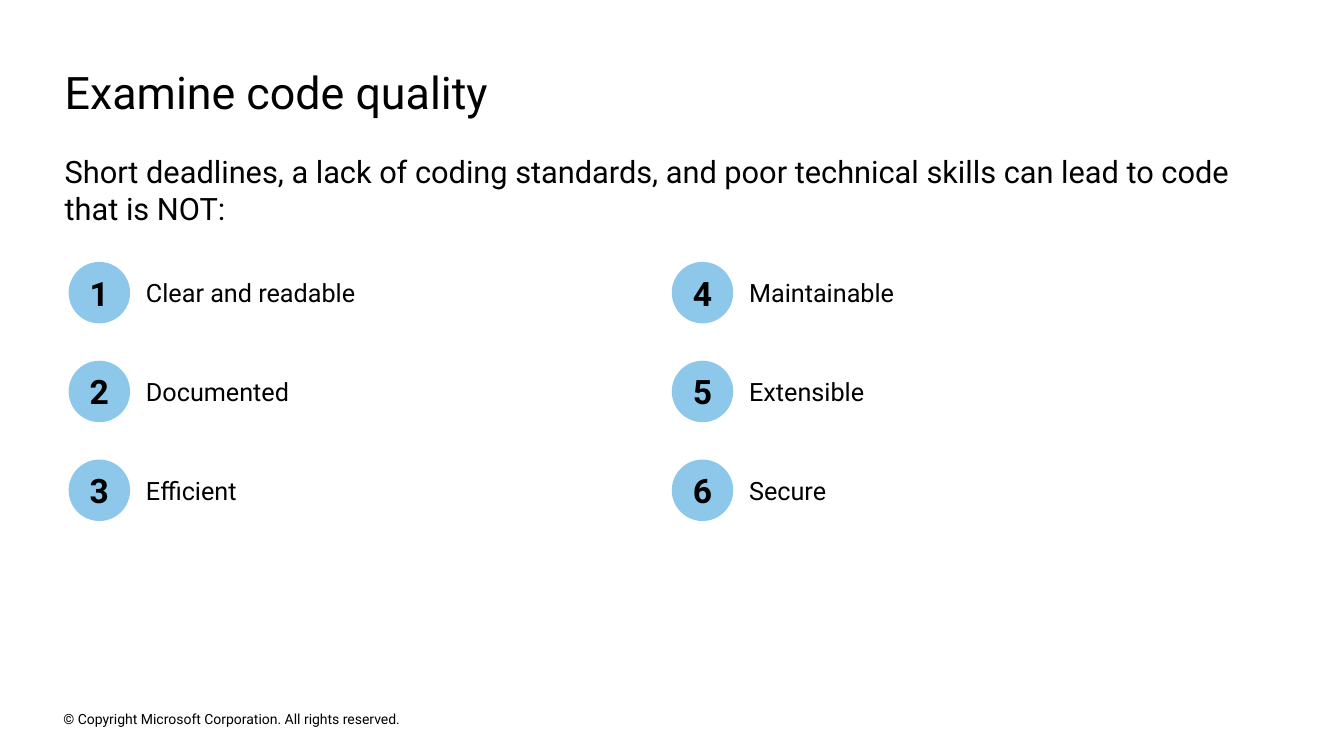
import pptx
import pptx.util
import pptx.dml.color
import pptx.enum.shapes
import pptx.enum.text

Cm = pptx.util.Cm
Pt = pptx.util.Pt
Anchor = pptx.enum.text.MSO_ANCHOR
Align = pptx.enum.text.PP_ALIGN

TITLE = "Examine code quality"
INTRO = ("Short deadlines, a lack of coding standards, and poor technical "
         "skills can lead to code that is NOT:")
TRAITS = ["Clear and readable", "Documented", "Efficient",
          "Maintainable", "Extensible", "Secure"]
RIGHTS = "© Copyright Microsoft Corporation. All rights reserved."

FONT = "Roboto"
BLACK = pptx.dml.color.RGBColor(0x00, 0x00, 0x00)
BLUE = pptx.dml.color.RGBColor(0x8D, 0xC8, 0xEB)

ROWS = 3
LEFT, TOP = 1.73, 6.6
COL, ROW = 15.2, 2.49
BADGE = 1.55
INDENT = 1.95
WIDE, HIGH = 12.27, 0.76


def place(shape, left, top, width, height):
    shape.left, shape.top = Cm(left), Cm(top)
    shape.width, shape.height = Cm(width), Cm(height)


def write(shape, text, size, anchor, align=Align.LEFT, bold=False, after=0):
    frame = shape.text_frame
    frame.text = text
    frame.word_wrap = True
    frame.auto_size = pptx.enum.text.MSO_AUTO_SIZE.NONE
    frame.vertical_anchor = anchor
    frame.margin_left = frame.margin_right = 0
    frame.margin_top = frame.margin_bottom = 0
    line = frame.paragraphs[0]
    line.alignment = align
    line.space_before = Pt(0)
    line.space_after = Pt(after)
    line.font.name = FONT
    line.font.size = Pt(size)
    line.font.bold = bold
    line.font.color.rgb = BLACK
    return line


def label(slide, box, text, size, after=0):
    shape = slide.shapes.add_textbox(*map(Cm, box))
    write(shape, text, size, Anchor.MIDDLE, after=after)


def badge(slide, left, top, number):
    shape = slide.shapes.add_shape(
        pptx.enum.shapes.MSO_SHAPE.OVAL,
        Cm(left), Cm(top), Cm(BADGE), Cm(BADGE))
    shape.shadow.inherit = False
    shape.fill.solid()
    shape.fill.fore_color.rgb = BLUE
    shape.line.fill.background()
    write(shape, str(number), 24, Anchor.MIDDLE, Align.CENTER, True)


def main():
    deck = pptx.Presentation()
    deck.slide_width, deck.slide_height = Cm(33.87), Cm(19.05)
    slide = deck.slides.add_slide(deck.slide_layouts[1])

    title, body = slide.placeholders
    place(title, 1.63, 1.63, 30.58, 1.37)
    write(title, TITLE, 32, Anchor.TOP)
    place(body, 1.63, 3.86, 30.58, 1.88)
    intro = write(body, INTRO, 22, Anchor.TOP)
    props = intro._p.get_or_add_pPr()
    props.set("marL", "0")
    props.set("indent", "0")
    bullet = pptx.oxml.parse_xml(
        '<a:buNone xmlns:a="http://schemas.openxmlformats.org/drawingml/2006/main"/>')
    props.insert_element_before(bullet, "a:tabLst", "a:defRPr", "a:extLst")

    for i, trait in enumerate(TRAITS):
        col, row = divmod(i, ROWS)
        left, top = LEFT + col * COL, TOP + row * ROW
        badge(slide, left, top, i + 1)
        box = (left + INDENT, top + (BADGE - HIGH) / 2, WIDE, HIGH)
        label(slide, box, trait, 18, after=2)

    label(slide, (1.6, 17.83, 11.53, 0.56), RIGHTS, 10)
    deck.save("out.pptx")


if __name__ == "__main__":
    main()
